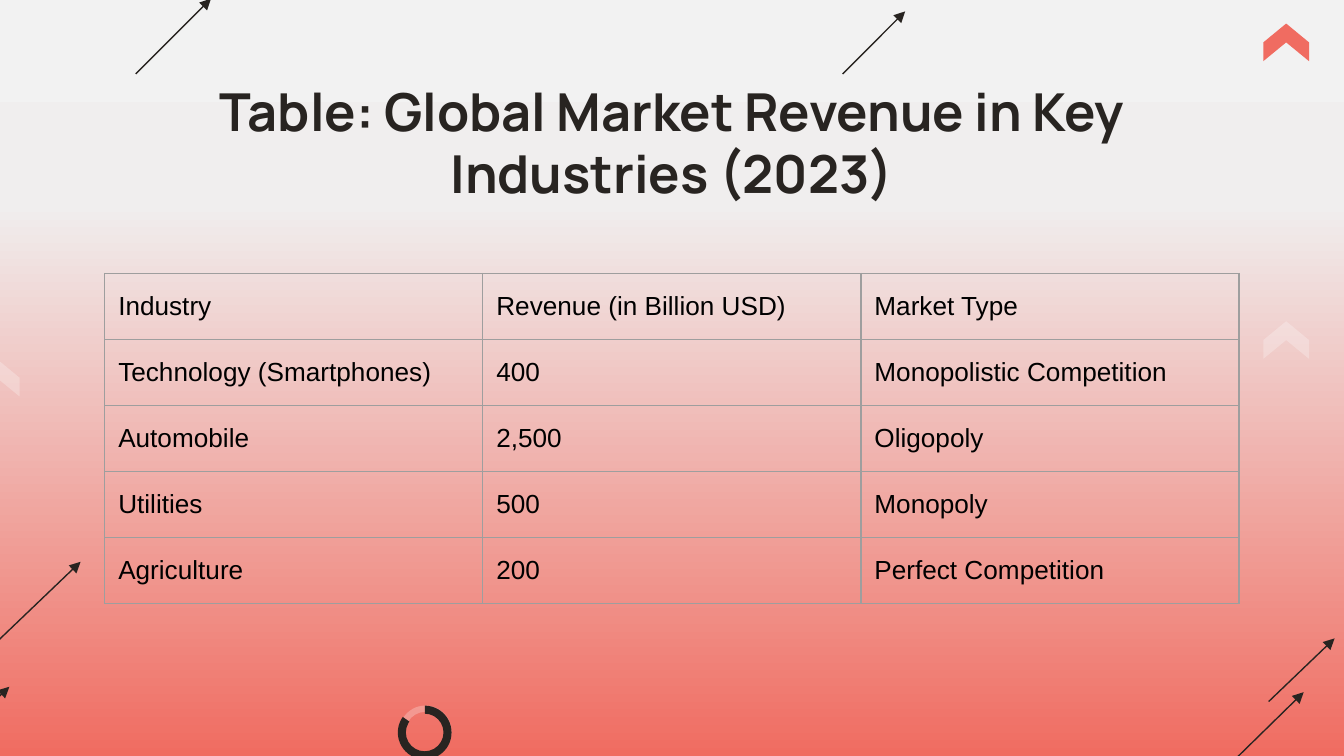
from copy import deepcopy
from pptx import Presentation, util as u
from pptx.dml.color import RGBColor
from pptx.enum import shapes, text
from pptx.oxml import parse_xml
from pptx.oxml.ns import nsdecls, qn

CELL = u.Inches(0.1)  # the slide is a grid of 100 columns by 56.25 rows
COLS, ROWS = 100, 56.25
HEX = {"ink": "282421", "coral": "F06C61", "pale": "F2F2F2", "mist": "F0EEEE",
       "white": "FFFFFF", "rule": "9E9E9E", "black": "000000"}
DATA = [
    ("Industry", "Revenue (in Billion USD)", "Market Type"),
    ("Technology (Smartphones)", "400", "Monopolistic Competition"),
    ("Automobile", "2,500", "Oligopoly"),
    ("Utilities", "500", "Monopoly"),
    ("Agriculture", "200", "Perfect Competition"),
]
ARROWS = [
    (10.1, 5.5, 15.7, -0.1), (62.7, 5.5, 67.35, 0.85),
    (94.4, 52.2, 99.3, 47.5), (92.1, 56.3, 97, 51.5),
    (-5.4, 52.7, 6, 41.8), (-10.7, 61.9, 0.7, 51.1),
]


def grid(*cells):
    return [round(c * CELL) for c in cells]


def color(name):
    return RGBColor.from_string(HEX[name])


def style(run, font, size, name, bold=False):
    run.font.name, run.font.size = font, u.Pt(size)
    run.font.color.rgb, run.font.bold = color(name), bold


def backdrop(slide):
    fill = slide.background.fill
    fill.gradient()
    fill.gradient_angle = 270
    stops = slide.element.find(".//" + qn("a:gsLst"))
    stops.insert(1, deepcopy(stops[0]))
    for stop, (place, name) in zip(
            fill.gradient_stops, [(0, "pale"), (0.27, "mist"), (1, "coral")]):
        stop.position = place
        stop.color.rgb = color(name)


def arrow(slide, ends):
    line = slide.shapes.add_connector(shapes.MSO_CONNECTOR.STRAIGHT, *grid(*ends))
    line.line.width = u.Pt(0.75)
    line.line.color.rgb = color("ink")
    line.line._get_or_add_ln().append(
        parse_xml(f'<a:tailEnd {nsdecls("a")} type="triangle"/>'))
    line.element.spPr.append(parse_xml(f'<a:effectLst {nsdecls("a")}/>'))


def mark(slide, kind, box, name, alpha=100, turn=0, adj=()):
    shape = slide.shapes.add_shape(kind, *grid(*box))
    shape.shadow.inherit = False
    shape.rotation = turn
    shape.fill.solid()
    shape.fill.fore_color.rgb = color(name)
    shape.line.fill.background()
    for i, value in enumerate(adj):
        shape.adjustments[i] = value
    if alpha < 100:
        tint = shape.element.spPr.find(".//" + qn("a:srgbClr"))
        tint.append(parse_xml(f'<a:alpha {nsdecls("a")} val="{alpha * 1000}"/>'))


def chevron(slide, x, y, name, alpha=100):
    mark(slide, shapes.MSO_SHAPE.CHEVRON, (x, y, 2.8, 3.4), name, alpha, 270, [0.5])


def ring(slide, x, y, size):
    mark(slide, shapes.MSO_SHAPE.DONUT, (x + 0.1, y, size - 0.1, size - 0.1),
         "white", 26, adj=[0.12])
    mark(slide, shapes.MSO_SHAPE.BLOCK_ARC, (x, y, size, size),
         "ink", turn=210, adj=[36.2, 3.22, 0.15])


def decor(slide):
    for ends in ARROWS:
        arrow(slide, ends)
    chevron(slide, 94.3, 1.45, "coral")
    chevron(slide, 94.3, 23.6, "white", 26)
    chevron(slide, -1.65, 26.4, "white", 26)
    ring(slide, 29.6, 52.5, 4)


def heading(slide, box, words):
    title = slide.shapes.title
    title.left, title.top, title.width, title.height = grid(*box)
    frame = title.text_frame
    frame.text = words
    frame.word_wrap = True
    frame.auto_size = text.MSO_AUTO_SIZE.NONE
    frame.vertical_anchor = text.MSO_ANCHOR.TOP
    frame.margin_left = frame.margin_right = CELL
    frame.margin_top = frame.margin_bottom = CELL
    frame.paragraphs[0].alignment = text.PP_ALIGN.CENTER
    style(frame.paragraphs[0].runs[0], "Manrope", 28, "ink", True)


def border(cell):
    props = cell._tc.get_or_add_tcPr()
    for i, side in enumerate(("lnL", "lnR", "lnT", "lnB")):
        props.insert(i, parse_xml(
            f'<a:{side} {nsdecls("a")} w="{u.Pt(0.75)}"><a:solidFill>'
            f'<a:srgbClr val="{HEX["rule"]}"/></a:solidFill></a:{side}>'))


def table(slide, box, data):
    grill = slide.shapes.add_table(len(data), len(data[0]), *grid(*box)).table
    grill.first_row = grill.horz_banding = False
    for r, row in enumerate(data):
        for c, words in enumerate(row):
            cell = grill.cell(r, c)
            cell.text = words
            cell.fill.background()
            cell.vertical_anchor = text.MSO_ANCHOR.MIDDLE
            cell.margin_left = cell.margin_right = CELL
            cell.margin_top = cell.margin_bottom = CELL
            style(cell.text_frame.paragraphs[0].runs[0], "Arial", 14, "black")
            border(cell)


def main():
    deck = Presentation()
    deck.slide_width, deck.slide_height = grid(COLS, ROWS)
    slide = deck.slides.add_slide(deck.slide_layouts[5])
    backdrop(slide)
    decor(slide)
    heading(slide, (7.85, 4.87, 84.3, 11.4),
            "Table: Global Market Revenue in Key Industries (2023)")
    table(slide, (7.8, 20.34, 84.4, 24.55), DATA)
    deck.save("out.pptx")


if __name__ == "__main__":
    main()
